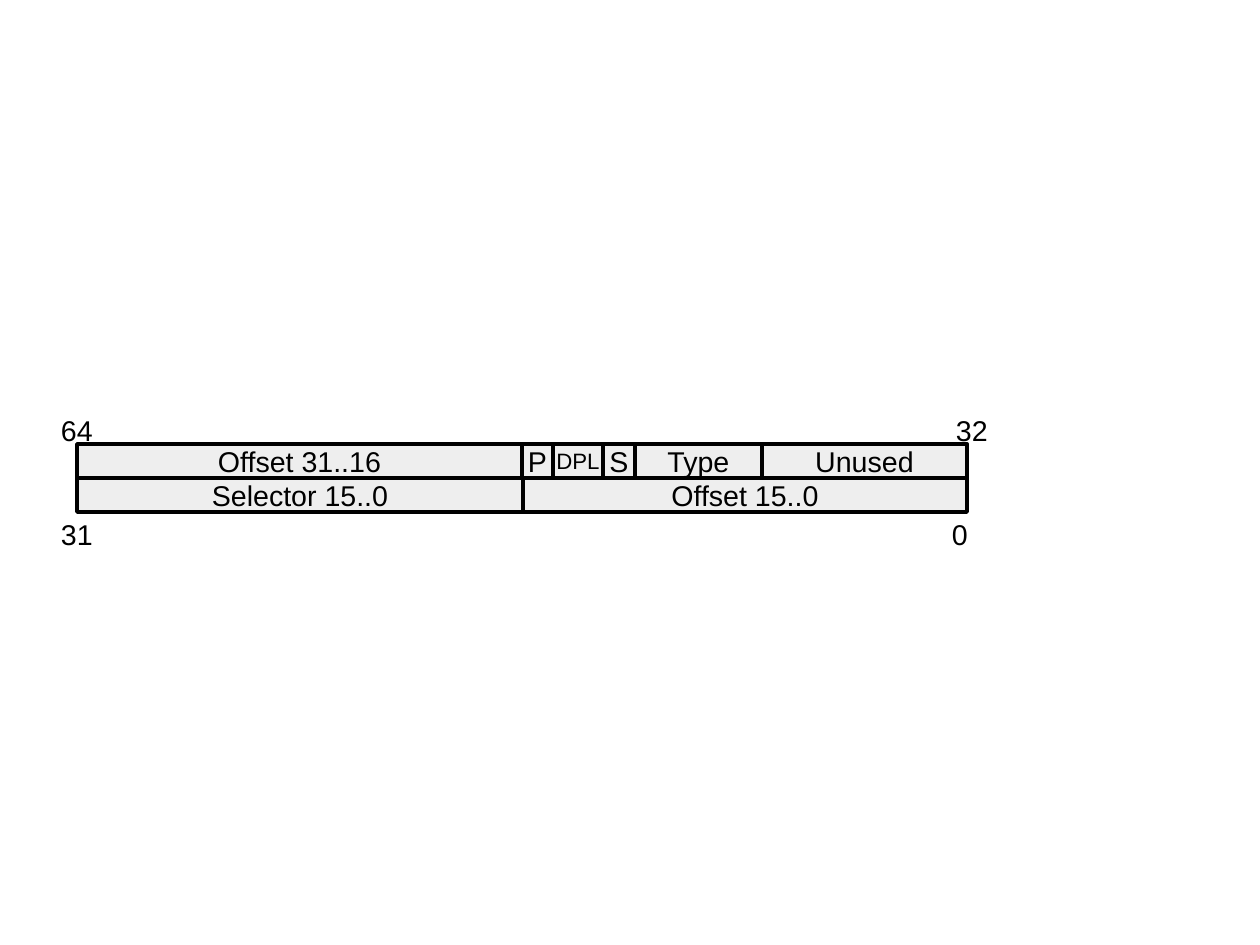
"""Draw the bit layout of a 64-bit gate descriptor."""
from itertools import pairwise

from pptx import Presentation
from pptx.dml.color import RGBColor
from pptx.enum.shapes import MSO_SHAPE
from pptx.enum.text import MSO_ANCHOR, MSO_AUTO_SIZE, PP_ALIGN
from pptx.util import Pt

RECTANGLE = MSO_SHAPE.RECTANGLE
MIDDLE, TOP = MSO_ANCHOR.MIDDLE, MSO_ANCHOR.TOP
CENTER, LEFT = PP_ALIGN.CENTER, PP_ALIGN.LEFT
FIXED, GROW = MSO_AUTO_SIZE.NONE, MSO_AUTO_SIZE.SHAPE_TO_FIT_TEXT
BLACK = RGBColor(0x00, 0x00, 0x00)
FIELD_GRAY = RGBColor(0xEE, 0xEE, 0xEE)
EMU_PER_PX = 8000
ROW_HEIGHT = 34
LABEL_HEIGHT = 43

HIGH_EDGES = (77, 522, 553, 603, 635, 762, 967)
HIGH_FIELDS = ("Offset 31..16", "P", "DPL", "S", "Type", "Unused")
LOW_EDGES = (77, 523, 967)
LOW_FIELDS = ("Selector 15..0", "Offset 15..0")
ROWS = ((444, HIGH_EDGES, HIGH_FIELDS), (478, LOW_EDGES, LOW_FIELDS))
BIT_LABELS = (
    ("64", 50, 407, 55),
    ("32", 945, 407, 55),
    ("31", 50, 511, 55),
    ("0", 941, 511, 39),
)


def px(*lengths):
    """Turn whole pixels into EMU."""
    return [length * EMU_PER_PX for length in lengths]


def write(frame, text, size=18, font="Arial", color=BLACK, align=LEFT,
          anchor=TOP, fit=FIXED, margins=(11, 6)):
    """Put one formatted line of text into a frame."""
    frame.word_wrap = False
    frame.auto_size = fit
    frame.vertical_anchor = anchor
    side, edge = px(*margins)
    frame.margin_left = frame.margin_right = side
    frame.margin_top = frame.margin_bottom = edge
    line = frame.paragraphs[0]
    line.alignment = align
    run = line.add_run()
    run.text = text
    run.font.size = Pt(size)
    run.font.name = font
    run.font.color.rgb = color


class DescriptorSlide:
    """Hold the current slide and the style of its fields and labels."""

    def __init__(self, slide, fill=FIELD_GRAY, outline=BLACK, outline_width=2.3):
        """Keep the slide and the field style."""
        self.slide = slide
        self.fill = fill
        self.outline = outline
        self.outline_width = Pt(outline_width)

    def field(self, name, left, top, width, size=18):
        """Draw one named bit field."""
        box = self.slide.shapes.add_shape(RECTANGLE, *px(left, top, width, ROW_HEIGHT))
        box.shadow.inherit = False
        box.fill.solid()
        box.fill.fore_color.rgb = self.fill
        box.line.color.rgb = self.outline
        box.line.width = self.outline_width
        write(box.text_frame, name, size=size, align=CENTER, anchor=MIDDLE, margins=(13, 7))

    def row(self, top, edges, names):
        """Draw the fields that lie between consecutive edges."""
        for name, (left, right) in zip(names, pairwise(edges)):
            self.field(name, left, top, right - left, size=14 if name == "DPL" else 18)

    def bit_label(self, number, left, top, width):
        """Write a bit number at a corner of the layout."""
        label = self.slide.shapes.add_textbox(*px(left, top, width, LABEL_HEIGHT))
        write(label.text_frame, number, fit=GROW)


def main():
    """Build and save the slide."""
    deck = Presentation()
    deck.slide_width, deck.slide_height = px(1260, 945)
    descriptor = DescriptorSlide(deck.slides.add_slide(deck.slide_layouts[6]))
    for row in ROWS:
        descriptor.row(*row)
    for bit_label in BIT_LABELS:
        descriptor.bit_label(*bit_label)
    deck.save("out.pptx")


if __name__ == "__main__":
    main()
